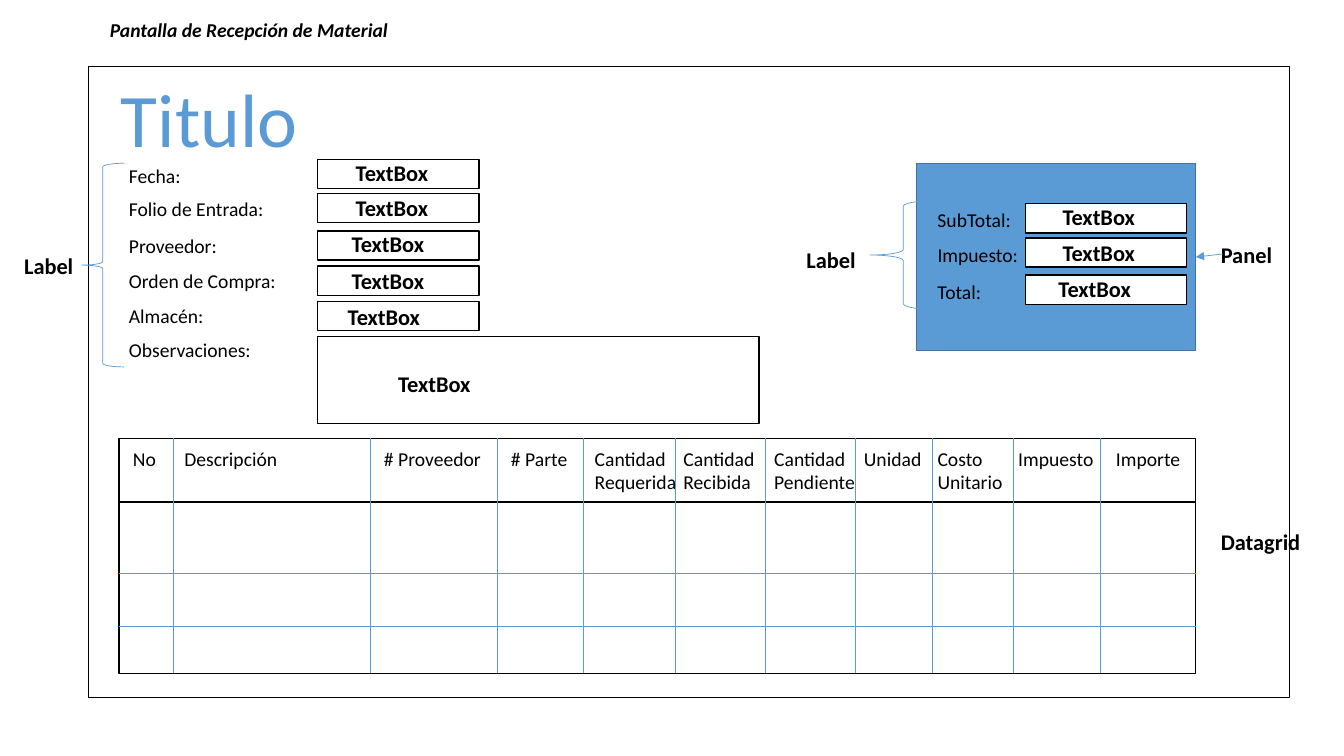
"""Build the wireframe slide of the material reception screen."""
from lxml import etree
from pptx import Presentation
from pptx.dml.color import RGBColor
from pptx.enum.shapes import MSO_CONNECTOR, MSO_SHAPE
from pptx.enum.text import MSO_AUTO_SIZE, PP_ALIGN
from pptx.oxml.ns import qn
from pptx.util import Inches, Pt

BLUE = RGBColor(0x5B, 0x9B, 0xD5)
DARK_BLUE = RGBColor(0x43, 0x73, 0x9E)
BLACK = RGBColor(0, 0, 0)
WHITE = RGBColor(255, 255, 255)
RECTANGLE = MSO_SHAPE.RECTANGLE
LEFT_BRACE = MSO_SHAPE.LEFT_BRACE
STRAIGHT = MSO_CONNECTOR.STRAIGHT
FIT_TEXT = MSO_AUTO_SIZE.SHAPE_TO_FIT_TEXT
CENTER = PP_ALIGN.CENTER
FONT = "Calibri"

FIELD_WIDTH, FIELD_HEIGHT = 1.6, 0.29
GRID_LEFT, GRID_RIGHT = 1.18, 11.86
GRID_TOP, GRID_HEADER_BOTTOM, GRID_BOTTOM = 4.35, 4.98, 6.68
COLUMN_EDGES = (1.72, 3.67, 4.93, 5.79, 6.7, 7.59, 8.48, 9.25, 10.05, 10.91)
ROW_EDGES = (5.69, 6.21)

ENTRY_LABELS = (
    ("Fecha:", 1.58, 0.72),
    ("Folio de Entrada:", 1.9, 1.55),
    ("Proveedor:", 2.27, 1.08),
    ("Orden de Compra:", 2.62, 1.67),
    ("Almacén:", 2.97, 0.95),
    ("Observaciones:", 3.3, 1.48),
)
TOTAL_LABELS = (
    ("SubTotal:", 2.01, 0.94),
    ("Impuesto:", 2.36, 1.01),
    ("Total:", 2.73, 0.64),
)
ENTRY_FIELDS = (
    (1.58, 3.43, 1.53),
    (1.92, 3.43, 1.88),
    (2.29, 3.39, 2.23),
    (2.64, 3.39, 2.6),
    (2.99, 3.35, 2.96),
)
TOTAL_FIELDS = (
    (2.02, 10.44, 1.97),
    (2.36, 10.44, 2.32),
    (2.73, 10.4, 2.68),
)
COLUMN_HEADERS = (
    ("No", 1.22, 0.43),
    ("Descripción", 1.73, 1.13),
    ("# Proveedor", 3.71, 1.17),
    ("# Parte", 4.97, 0.77),
    ("Cantidad\nRequerida", 5.8, 1.02),
    ("Cantidad\nRecibida", 6.68, 0.92),
    ("Cantidad\nPendiente", 7.58, 1.01),
    ("Unidad", 8.47, 0.78),
    ("Costo\nUnitario", 9.2, 0.85),
    ("Impuesto", 10, 0.96),
    ("Importe", 10.97, 0.84),
)
CONTROL_NOTES = (
    ("Label", 0.14, 2.45, 0.69),
    ("Label", 7.9, 2.39, 0.69),
    ("Panel", 12.01, 2.34, 0.71),
    ("Datagrid", 12.01, 5.19, 1),
)


def add_outline(slide, kind, left, top, width, height, fill=None, line=BLACK, weight=1):
    """Add a preset shape, left unfilled when no fill is given."""
    shape = slide.shapes.add_shape(
        kind, Inches(left), Inches(top), Inches(width), Inches(height))
    shape.shadow.inherit = False
    if fill is None:
        shape.fill.background()
    else:
        shape.fill.solid()
        shape.fill.fore_color.rgb = fill
    shape.line.color.rgb = line
    shape.line.width = Pt(weight)


def add_label(slide, text, left, top, width, size=14, color=BLACK,
              bold=False, italic=False, align=None):
    """Add unwrapped text whose height follows its size and line count."""
    height = 0.1 + size / 60 * (text.count("\n") + 1)
    label = slide.shapes.add_textbox(
        Inches(left), Inches(top), Inches(width), Inches(height))
    frame = label.text_frame
    frame.word_wrap = False
    frame.auto_size = FIT_TEXT
    frame.text = text
    for paragraph in frame.paragraphs:
        paragraph.alignment = align
        for run in paragraph.runs:
            font = run.font
            font.name, font.size = FONT, Pt(size)
            font.bold, font.italic = bold, italic
            font.color.rgb = color


def add_line(slide, x1, y1, x2, y2, arrow=False):
    """Add a thin blue line, with an arrowhead at its end on request."""
    connector = slide.shapes.add_connector(
        STRAIGHT, Inches(x1), Inches(y1), Inches(x2), Inches(y2))
    connector.line.color.rgb = BLUE
    connector.line.width = Pt(0.5)
    if arrow:
        etree.SubElement(connector.line._get_or_add_ln(), qn("a:tailEnd"), type="triangle")
    etree.SubElement(connector._element.spPr, qn("a:effectLst"))


def add_control_name(slide, text, left, top, width):
    """Add the bold name of a control."""
    add_label(slide, text, left, top, width, size=16, bold=True)


def add_fields(slide, left, fields):
    """Add a column of input boxes with their control names."""
    for top, name_left, name_top in fields:
        add_outline(slide, RECTANGLE, left, top, FIELD_WIDTH, FIELD_HEIGHT, WHITE)
        add_control_name(slide, "TextBox", name_left, name_top, 0.93)


def add_field_labels(slide, left, labels):
    """Add a column of field labels."""
    for text, top, width in labels:
        add_label(slide, text, left, top, width)


def add_datagrid(slide):
    """Add the grid mock-up with header band, dividers and column names."""
    for top, bottom in ((GRID_TOP, GRID_HEADER_BOTTOM), (GRID_HEADER_BOTTOM, GRID_BOTTOM)):
        add_outline(slide, RECTANGLE, GRID_LEFT, top,
                    GRID_RIGHT - GRID_LEFT, bottom - top, WHITE)
    for x in COLUMN_EDGES:
        add_line(slide, x, GRID_TOP, x, GRID_BOTTOM)
    for y in ROW_EDGES:
        add_line(slide, GRID_LEFT, y, GRID_RIGHT, y)
    for text, left, width in COLUMN_HEADERS:
        add_label(slide, text, left, 4.38, width)


def main():
    """Build and save the slide."""
    deck = Presentation()
    deck.slide_width, deck.slide_height = Inches(13.33), Inches(7.5)
    slide = deck.slides.add_slide(deck.slide_layouts[6])

    add_outline(slide, RECTANGLE, 9.09, 1.62, 2.77, 1.86, BLUE, DARK_BLUE)
    add_outline(slide, RECTANGLE, 0.88, 0.66, 11.91, 6.26)
    add_label(slide, "Pantalla de Recepción de Material", 0.99, 0.13, 2.98,
              bold=True, italic=True)
    add_label(slide, "Titulo", 1.09, 0.66, 1.97, size=54, color=BLUE, align=CENTER)

    add_field_labels(slide, 1.18, ENTRY_LABELS)
    add_fields(slide, 3.15, ENTRY_FIELDS)
    add_outline(slide, RECTANGLE, 3.15, 3.34, 4.38, 0.86, WHITE)
    add_control_name(slide, "TextBox", 3.85, 3.62, 0.93)

    add_field_labels(slide, 9.2, TOTAL_LABELS)
    add_fields(slide, 10.17, TOTAL_FIELDS)
    add_datagrid(slide)

    for note in CONTROL_NOTES:
        add_control_name(slide, *note)
    for brace in ((0.81, 1.62, 0.42, 2.02), (8.63, 1.99, 0.66, 1.08)):
        add_outline(slide, LEFT_BRACE, *brace, line=BLUE, weight=0.5)
    add_line(slide, 12.13, 2.52, 11.86, 2.55, arrow=True)

    deck.save("out.pptx")


main()
